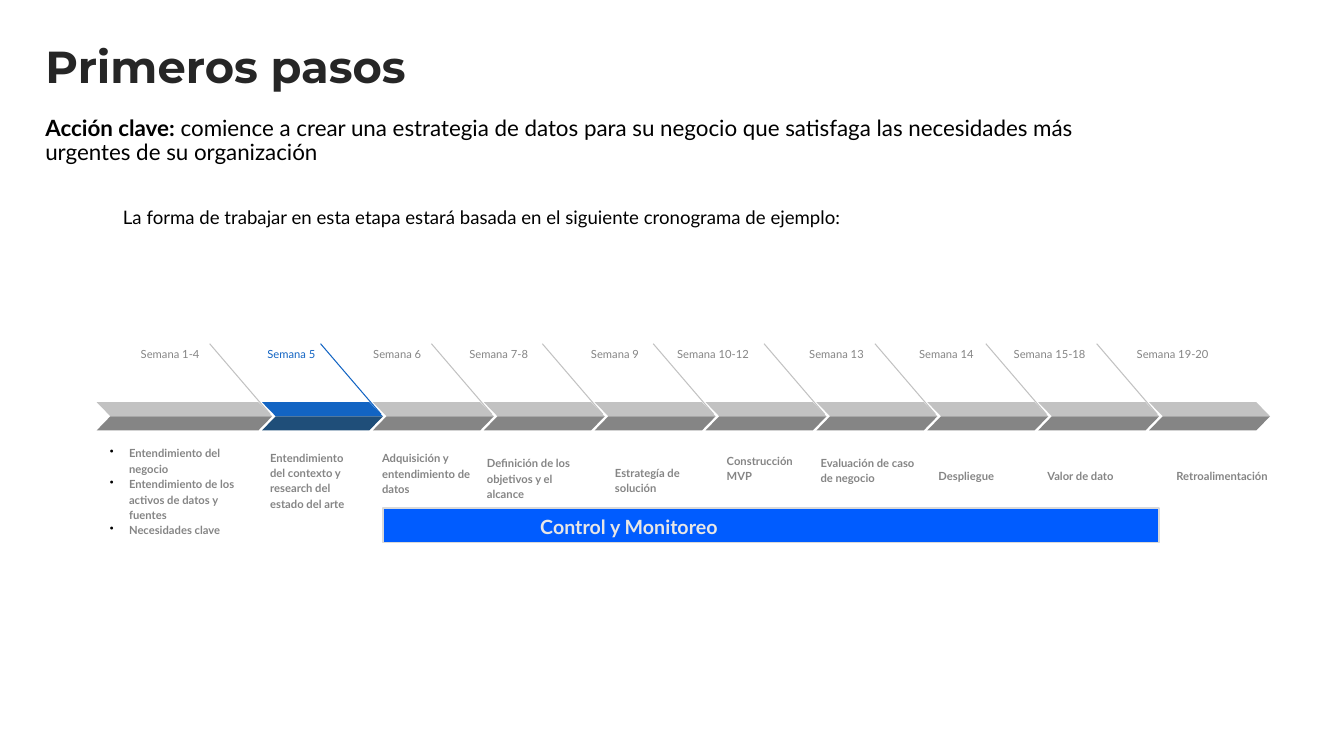
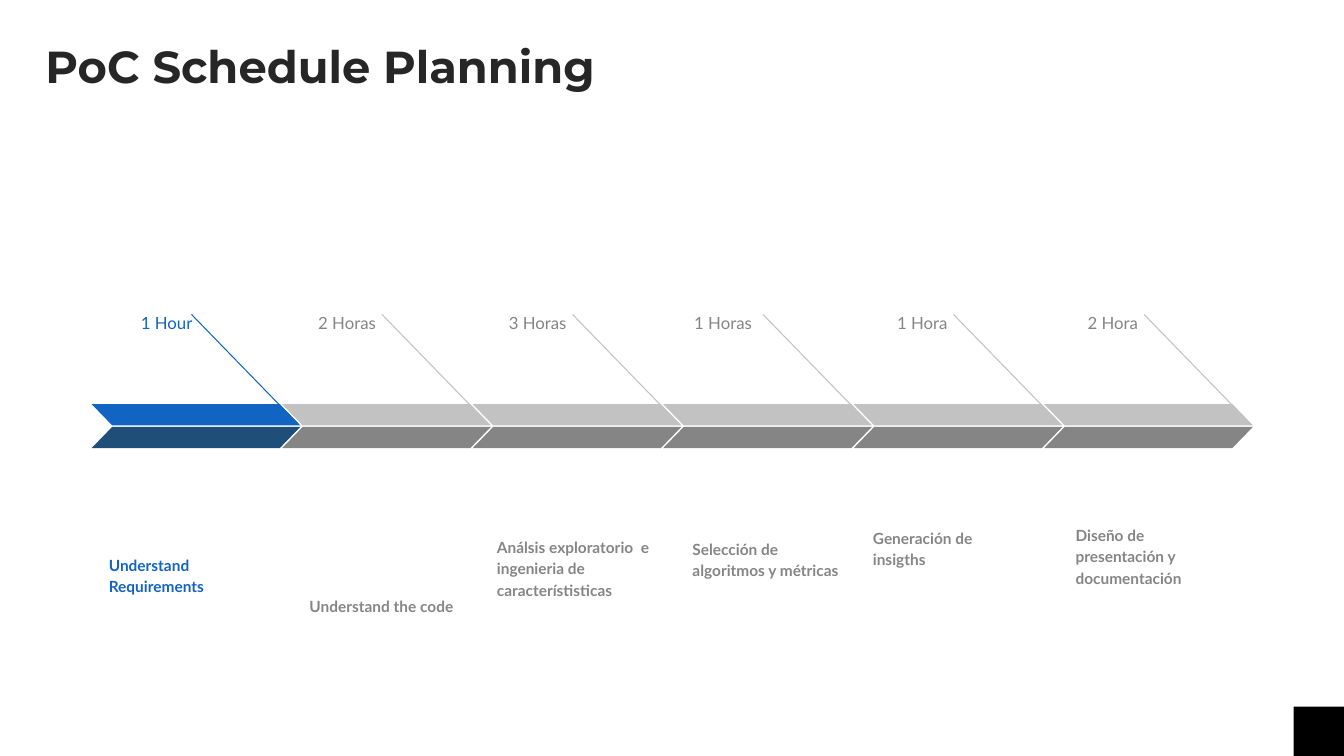
from dataclasses import dataclass

from lxml import etree
from pptx import Presentation
from pptx import util as u
from pptx.dml.color import RGBColor
from pptx.enum import shapes, text
from pptx.oxml import ns

INK = RGBColor(0x26, 0x26, 0x26)
BLACK = RGBColor(0x00, 0x00, 0x00)
GREY = RGBColor(0x85, 0x85, 0x85)
SILVER = RGBColor(0xC2, 0xC2, 0xC2)
BLUE = RGBColor(0x12, 0x64, 0xC3)
NAVY = RGBColor(0x1F, 0x4E, 0x79)
BRIGHT = RGBColor(0x00, 0x5C, 0xFF)
EDGE = RGBColor(0xD9, 0xD9, 0xD9)
PALE = RGBColor(0xE7, 0xE6, 0xE6)

COLUMNS, ROWS = 133.33, 75
CELL = u.Inches(0.1)
LEFT, CENTER, RIGHT = text.PP_ALIGN.LEFT, text.PP_ALIGN.CENTER, text.PP_ALIGN.RIGHT
TOP, MIDDLE = text.MSO_ANCHOR.TOP, text.MSO_ANCHOR.MIDDLE


def cells(*counts):
    return [round(count * CELL) for count in counts]


@dataclass
class Phase:
    label: str
    label_end: float
    caption: str
    left: float
    middle: float
    width: float


@dataclass
class Track:
    first: float
    step: float
    width: float
    top: float
    lower: float
    height: float
    line_top: float
    line_bottom: float
    line_back: float
    line_tip: float
    label_top: float
    label_size: float
    caption_size: float
    active: int
    lead: float = 0
    last_line: bool = True
    caption_active: bool = False


class Board:
    def __init__(self):
        self.deck = Presentation()
        self.deck.slide_width, self.deck.slide_height = cells(COLUMNS, ROWS)
        self.page = None

    def add_page(self, title):
        self.page = self.deck.slides.add_slide(self.deck.slide_layouts[5])
        box = self.page.shapes.title
        box.left, box.top, box.width, box.height = cells(3.5, 3.9, 116.5, 5.9)
        frame = box.text_frame
        frame.auto_size = text.MSO_AUTO_SIZE.NONE
        frame.vertical_anchor = MIDDLE
        frame.text = title
        self.style(frame.paragraphs[0], 32, INK, True, LEFT, 0.9, "Montserrat")

    def style(self, para, size, color, bold, align, spacing, font="Lato"):
        para.alignment = align
        para.line_spacing = spacing
        para.font.name = font
        para.font.size = u.Pt(size)
        para.font.bold = bold
        para.font.color.rgb = color

    def add_text(self, words, place, size, color, bold=False, align=LEFT,
                 anchor=TOP, spacing=1.15, bullets=False):
        box = self.page.shapes.add_textbox(*cells(*place))
        frame = box.text_frame
        frame.word_wrap = True
        frame.vertical_anchor = anchor
        frame.margin_left = frame.margin_right = 0
        frame.margin_top = frame.margin_bottom = 0
        frame.text = words
        for para in frame.paragraphs:
            if bullets:
                self.add_bullet(para)
            self.style(para, size, color, bold, align, spacing)
        return frame

    def add_bullet(self, para):
        props = para._p.get_or_add_pPr()
        indent = u.Inches(0.19)
        props.set("marL", str(indent))
        props.set("indent", str(-indent))
        tint = etree.SubElement(props, ns.qn("a:buClr"))
        etree.SubElement(tint, ns.qn("a:srgbClr")).set("val", str(BLACK))
        etree.SubElement(props, ns.qn("a:buChar")).set("char", "•")

    def add_block(self, place, fill, edge=None, kind=shapes.MSO_SHAPE.RECTANGLE):
        block = self.page.shapes.add_shape(kind, *cells(*place))
        block.shadow.inherit = False
        block.fill.solid()
        block.fill.fore_color.rgb = fill
        if edge is None:
            block.line.fill.background()
        else:
            block.line.color.rgb = edge
            block.line.width = u.Pt(1)
        return block

    def add_slant(self, place, fill, flip=False):
        slant = self.add_block(place, fill, kind=shapes.MSO_SHAPE.PARALLELOGRAM)
        slant.adjustments[0] = 0.97
        if flip:
            slant._element.spPr.xfrm.set("flipH", "1")

    def add_line(self, start, end, color):
        line = self.page.shapes.add_connector(
            shapes.MSO_CONNECTOR.STRAIGHT, *cells(*start, *end))
        line.line.color.rgb = color
        line.line.width = u.Pt(0.75)
        etree.SubElement(line._element.spPr, ns.qn("a:effectLst"))

    def add_timeline(self, track, phases):
        for index, phase in enumerate(phases):
            active = index == track.active
            light, dark = (BLUE, NAVY) if active else (SILVER, GREY)
            label_color = BLUE if active else GREY
            caption_color = BLUE if active and track.caption_active else GREY
            lead = track.lead if index == 0 else 0
            left = track.first + track.step * index - lead
            width = track.width + lead
            right = left + width
            if track.last_line or index < len(phases) - 1:
                self.add_line((right - track.line_back, track.line_top),
                              (right - track.line_tip, track.line_bottom), light)
            self.add_slant((left, track.top, width, track.height), light, True)
            self.add_slant((left, track.lower, width, track.height), dark)
            self.add_text(phase.label, (phase.label_end - 10, track.label_top, 10, 2.5),
                          track.label_size, label_color, align=RIGHT)
            self.add_text(phase.caption, (phase.left, phase.middle - 5, phase.width, 10),
                          track.caption_size, caption_color, True, anchor=MIDDLE,
                          bullets="\n" in phase.caption)


def build_first_steps(board):
    board.add_page("Primeros pasos")
    frame = board.add_text("Acción clave:", (4.5, 11.6, 102.4, 5), 16, BLACK, spacing=0.9)
    para = frame.paragraphs[0]
    para.runs[0].font.bold = True
    span = para.add_run()
    span.text = (" comience a crear una estrategia de datos para su negocio que "
                 "satisfaga las necesidades más urgentes de su organización")
    board.add_text("La forma de trabajar en esta etapa estará basada en el siguiente "
                   "cronograma de ejemplo:", (12.2, 20.1, 101, 4), 13.3, BLACK)
    track = Track(first=15, step=11, width=12, lead=5.4, top=39.9, lower=41.3,
                  height=1.4, line_top=34.1, line_bottom=41.1, line_back=6.2,
                  line_tip=0.2, label_top=34.3, label_size=8, caption_size=8,
                  active=1, last_line=False)
    board.add_timeline(track, [
        Phase("Semana 1-4", 19.8, "Entendimiento del negocio\nEntendimiento de los "
              "activos de datos y fuentes\nNecesidades clave", 10.9, 48.7, 13.3),
        Phase("Semana 5", 31.3, "Entendimiento del contexto y research del estado "
              "del arte", 26.8, 47.6, 8.7),
        Phase("Semana 6", 41.8, "Adquisición y entendimiento de datos", 37.9, 46.9, 8.8),
        Phase("Semana 7-8", 52.4, "Definición de los objetivos y el alcance",
              48.3, 47.4, 10.4),
        Phase("Semana 9", 63.4, "Estrategía de solución", 61, 47.6, 7.8),
        Phase("Semana 10-12", 74.3, "Construcción MVP", 72.1, 46.4, 7.3),
        Phase("Semana 13", 85.7, "Evaluación de caso de negocio", 81.4, 46.6, 10.3),
        Phase("Semana 14", 96.6, "Despliegue", 93.1, 47.1, 10.4),
        Phase("Semana 15-18", 107.7, "Valor de dato", 103.9, 47.1, 9.9),
        Phase("Semana 19-20", 119.9, "Retroalimentación", 116.7, 47.1, 12.1),
    ])
    board.add_block((38, 50.4, 77, 3.4), BRIGHT, EDGE)
    board.add_text("Control y Monitoreo", (52.7, 50.5, 19.4, 3.4), 14, PALE, True,
                   CENTER, MIDDLE, 1)


def build_schedule(board):
    board.add_page("PoC Schedule Planning")
    track = Track(first=9.1, step=18.9, width=20.7, top=40.1, lower=42.35,
                  height=2.1, line_top=31.2, line_bottom=42, line_back=10.8,
                  line_tip=0.3, label_top=30.7, label_size=12, caption_size=11,
                  active=0, caption_active=True)
    board.add_timeline(track, [
        Phase("1 Hour", 19.1, "Understand Requirements", 10.8, 57, 14.4),
        Phase("2 Horas", 37.3, "Understand the code", 30.7, 60, 14.8),
        Phase("3 Horas", 56.2, "Análsis exploratorio  e ingenieria de "
              "característisticas", 49.3, 56.3, 15.4),
        Phase("1 Horas", 74.6, "Selección de algoritmos y métricas", 68.7, 55.4, 15.4),
        Phase("1 Hora", 94, "Generación de insigths", 86.6, 54.3, 14.4),
        Phase("2 Hora", 112.9, "Diseño de presentación y documentación",
              106.7, 55.1, 14.4),
    ])
    board.add_block((COLUMNS - 5, ROWS - 4.9, 5, 4.9), BLACK)


def main():
    board = Board()
    build_first_steps(board)
    build_schedule(board)
    board.deck.save("out.pptx")


if __name__ == "__main__":
    main()
